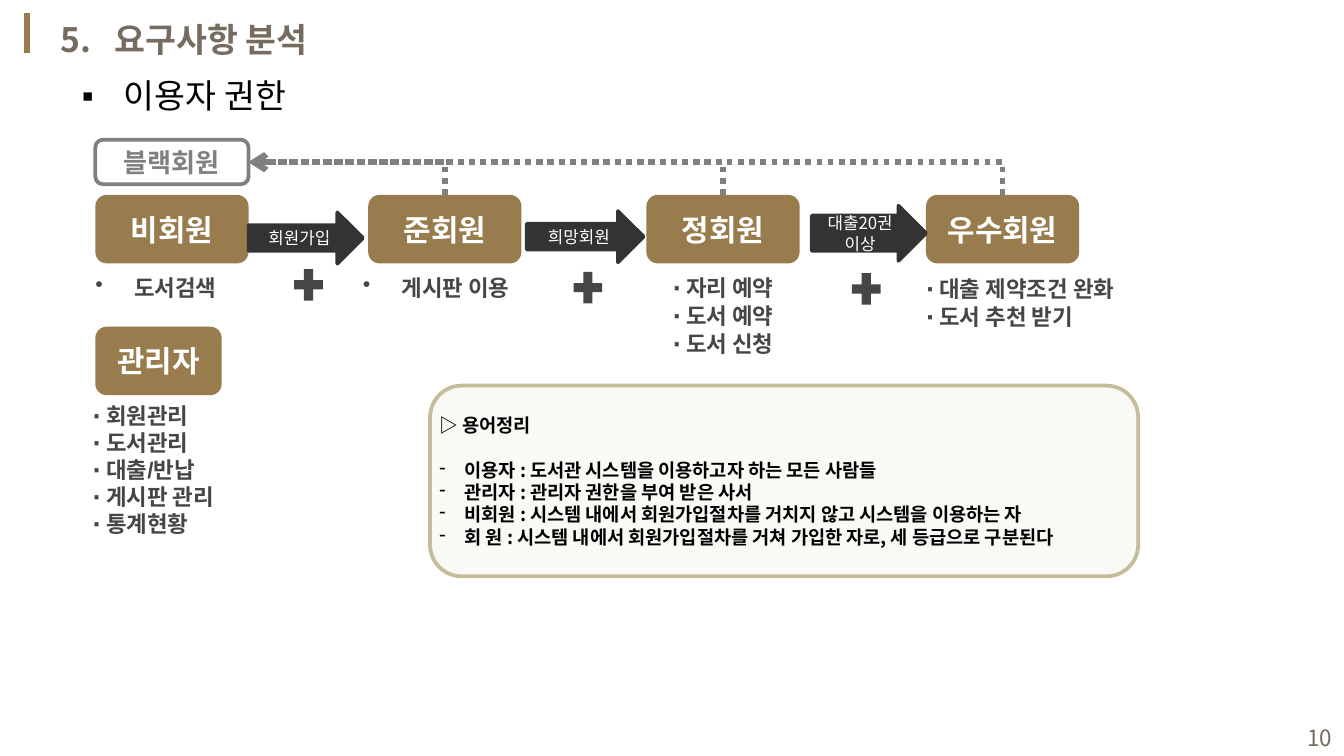
from dataclasses import dataclass
from typing import NamedTuple

from lxml.etree import SubElement
from pptx import Presentation
from pptx.dml.color import RGBColor
from pptx.enum.dml import MSO_LINE_DASH_STYLE as Dash
from pptx.enum.shapes import MSO_CONNECTOR as Link, MSO_SHAPE as Shape
from pptx.enum.text import MSO_ANCHOR as Anchor, MSO_AUTO_SIZE as Fit, PP_ALIGN as Align
from pptx.oxml.ns import qn
from pptx.util import Pt


@dataclass(frozen=True)
class Theme:
    gold: str = "987C4D"
    taupe: str = "756B5F"
    dark: str = "333333"
    ink: str = "464646"
    gray: str = "808080"
    black: str = "000000"
    white: str = "FFFFFF"
    cream: str = "EEECE1"
    sand: str = "C4BD97"
    korean: str = "Noto Sans CJK KR"
    latin: str = "Arial"
    heading: int = 18
    role: int = 16
    banned: int = 14
    item: int = 12
    term: int = 10
    step: int = 9


THEME = Theme()


class Box(NamedTuple):
    left: float
    top: float
    width: float
    height: float

    def inner(self, dx, dy, width, height):
        return Box(self.left + dx, self.top + dy, width, height)

    def points(self):
        return [Pt(length) for length in self]


def write(frame, paragraphs, size, color, bold=False, font=THEME.korean, align=Align.LEFT,
          anchor=Anchor.TOP, wrap=True, margins=(7.2, 3.6), leading=None,
          bullet=None, margin=0, hang=0, tab=None):
    frame.auto_size = Fit.NONE
    frame.word_wrap = wrap
    frame.vertical_anchor = anchor
    frame.margin_left = frame.margin_right = Pt(margins[0])
    frame.margin_top = frame.margin_bottom = Pt(margins[1])
    for index, words in enumerate(paragraphs):
        line = frame.add_paragraph() if index else frame.paragraphs[0]
        line.alignment = align
        line.line_spacing = Pt(leading or size * 1.2)
        line.space_before = line.space_after = Pt(0)
        props = line._p.get_or_add_pPr()
        if bullet:
            props.set("marL", str(Pt(margin)))
            props.set("indent", str(Pt(-hang)))
            SubElement(props, qn("a:buChar"), char=bullet)
        if tab:
            SubElement(SubElement(props, qn("a:tabLst")), qn("a:tab"), pos=str(Pt(tab)), algn="l")
        run = line.add_run()
        run.text = words
        run.font.size = Pt(size)
        run.font.bold = bold
        run.font.name = font
        run.font.color.rgb = RGBColor.from_string(color)
        SubElement(run._r.get_or_add_rPr(), qn("a:ea"), typeface=THEME.korean)


def add_text(slide, box, paragraphs, **style):
    write(slide.shapes.add_textbox(*box.points()).text_frame, paragraphs, **style)


def add_form(slide, kind, box, fill=None, line=None):
    form = slide.shapes.add_shape(kind, *box.points())
    form.shadow.inherit = False
    if fill:
        form.fill.solid()
        form.fill.fore_color.rgb = RGBColor.from_string(fill)
    else:
        form.fill.background()
    if line:
        form.line.color.rgb = RGBColor.from_string(line)
        form.line.width = Pt(2)
    else:
        form.line.fill.background()
    return form


def add_link(slide, kind, start, end, color):
    link = slide.shapes.add_connector(kind, *(Pt(value) for value in (*start, *end)))
    link.line.color.rgb = RGBColor.from_string(color)
    link.line.width = Pt(3)
    SubElement(link._element.spPr, qn("a:effectLst"))
    return link


def add_role(slide, box, name):
    role = add_form(slide, Shape.ROUNDED_RECTANGLE, box, fill=THEME.gold)
    write(role.text_frame, [name], size=THEME.role, color=THEME.white, bold=True,
          align=Align.CENTER, anchor=Anchor.MIDDLE)


def add_rights(slide, box, rights, **style):
    add_text(slide, box, rights, size=THEME.item, color=THEME.ink, bold=True,
             font=THEME.latin, **style)


def add_demotion(slide, start, end):
    drop, run = start[1] - end[1], start[0] - end[0]
    middle_x, middle_y = (start[0] + end[0]) / 2, (start[1] + end[1]) / 2
    demotion = add_link(slide, Link.ELBOW, (middle_x - drop / 2, middle_y + run / 2),
                        (middle_x + drop / 2, middle_y - run / 2), THEME.gray)
    demotion.line.dash_style = Dash.ROUND_DOT
    props = demotion._element.spPr
    props.find(qn("a:prstGeom")).set("prst", "bentConnector2")
    props.find(qn("a:xfrm")).set("rot", str(270 * 60000))
    SubElement(props.find(qn("a:ln")), qn("a:tailEnd"), type="arrow")


def header(slide, box):
    add_link(slide, Link.STRAIGHT, (box.left, box.top), (box.left, box.top + 21), THEME.gold)
    title, topic = slide.shapes.title, slide.placeholders[1]
    for holder, place in ((title, box.inner(10.8, -0.7, 176, 28.8)),
                          (topic, box.inner(22.3, 29.5, 125.3, 28.8))):
        holder.left, holder.top, holder.width, holder.height = place.points()
    write(title.text_frame, ["5.\t요구사항 분석"], size=THEME.heading, color=THEME.taupe,
          bold=True, tab=29)
    write(topic.text_frame, ["이용자 권한"], size=THEME.heading, color=THEME.black,
          wrap=False, bullet="▪", margin=22.5, hang=22.5)


def grades(slide, box):
    role_width, role_height, role_top = 82.1, 36.7, 29.5
    roles = {"비회원": 0, "준회원": 146.2, "정회원": 295.2, "우수회원": 445}
    steps = [("회원가입", (82.1, 38.9, 61.2, 27.4), 0.5),
             ("희망회원", (231.1, 38.2, 62.6, 27.4), 0.5),
             ("대출20권 이상", (383.8, 35.3, 61.2, 29.5), 0.64)]
    pluses = [(103.7, 66.2), (253.4, 67.7), (402.5, 68.4)]
    single = dict(align=Align.CENTER, bullet="•", margin=22.5, hang=18)
    rights = [((-25.9, 68.4, 112.3, 21.6), [" 도서검색"], single),
              ((115.9, 68.4, 128.9, 21.6), [" 게시판 이용"], single),
              ((275.8, 67.7, 121, 52.6), ["∙ 자리 예약", "∙ 도서 예약", "∙ 도서 신청"],
               dict(align=Align.CENTER, leading=15)),
              ((437.8, 68.4, 166.3, 36.7), ["∙ 대출 제약조건 완화", "∙ 도서 추천 받기"],
               dict(leading=15))]

    for name, dx in roles.items():
        add_role(slide, box.inner(dx, role_top, role_width, role_height), name)
    for condition, place, shaft in steps:
        step = add_form(slide, Shape.RIGHT_ARROW, box.inner(*place), THEME.dark, THEME.dark)
        step.adjustments[0] = shaft
        write(step.text_frame, [condition], size=THEME.step, color=THEME.white,
              align=Align.CENTER, anchor=Anchor.MIDDLE)
    for dx, dy in pluses:
        add_form(slide, Shape.MATH_PLUS, box.inner(dx, dy, 20.9, 23), fill=THEME.ink)
    for place, lines, style in rights:
        add_rights(slide, box.inner(*place), lines, **style)

    banned = add_form(slide, Shape.ROUNDED_RECTANGLE, box.inner(0, 0, role_width, 23.8),
                      line=THEME.gray)
    write(banned.text_frame, ["블랙회원"], size=THEME.banned, color=THEME.gray, bold=True,
          align=Align.CENTER, anchor=Anchor.MIDDLE)
    for dx in list(roles.values())[1:]:
        add_demotion(slide, (box.left + dx + role_width / 2, box.top + role_top),
                     (box.left + role_width, box.top + 12))


def manager(slide, box):
    add_role(slide, box.inner(0, 0, 67.7, 36.7), "관리자")
    duties = ["회원관리", "도서관리", "대출/반납", "게시판 관리", "통계현황"]
    add_rights(slide, box.inner(-8.6, 36.7, 112.3, 79.9), [f"∙ {duty}" for duty in duties],
               leading=14.5)


def glossary(slide, box):
    panel = add_form(slide, Shape.ROUNDED_RECTANGLE, box, THEME.cream, THEME.sand)
    tint = panel._element.spPr.find(qn("a:solidFill"))[0]
    SubElement(tint, qn("a:alpha"), val="30000")
    terms = ["▷ 용어정리",
             "이용자 : 도서관 시스템을 이용하고자 하는 모든 사람들",
             "관리자 : 관리자 권한을 부여 받은 사서",
             "비회원 : 시스템 내에서 회원가입절차를 거치지 않고 시스템을 이용하는 자",
             "회 원 : 시스템 내에서 회원가입절차를 거쳐 가입한 자로, 세 등급으로 구분된다"]
    write(panel.text_frame, terms, size=THEME.term, color=THEME.black, bold=True,
          anchor=Anchor.MIDDLE, margins=(0, 0), bullet="-", margin=13.5, hang=13.5)
    caption = panel.text_frame.paragraphs[0]
    caption.space_after = Pt(12)
    props = caption._p.pPr
    props.remove(props.find(qn("a:buChar")))
    props.set("marL", "0")
    props.set("indent", "0")


def page_number(slide, box):
    add_text(slide, box, ["10"], size=THEME.item, color=THEME.taupe,
             align=Align.RIGHT, anchor=Anchor.MIDDLE)


def main():
    deck = Presentation()
    deck.slide_width, deck.slide_height = Pt(720), Pt(405)
    slide = deck.slides.add_slide(deck.slide_layouts[1])
    header(slide, Box(14.4, 7.2, 690, 60))
    grades(slide, Box(51.1, 74.9, 604, 120))
    manager(slide, Box(51.1, 175, 104, 117))
    glossary(slide, Box(230.4, 206.6, 379.4, 102.2))
    page_number(slide, Box(553, 384.5, 167.8, 21.6))
    deck.save("out.pptx")


if __name__ == "__main__":
    main()
